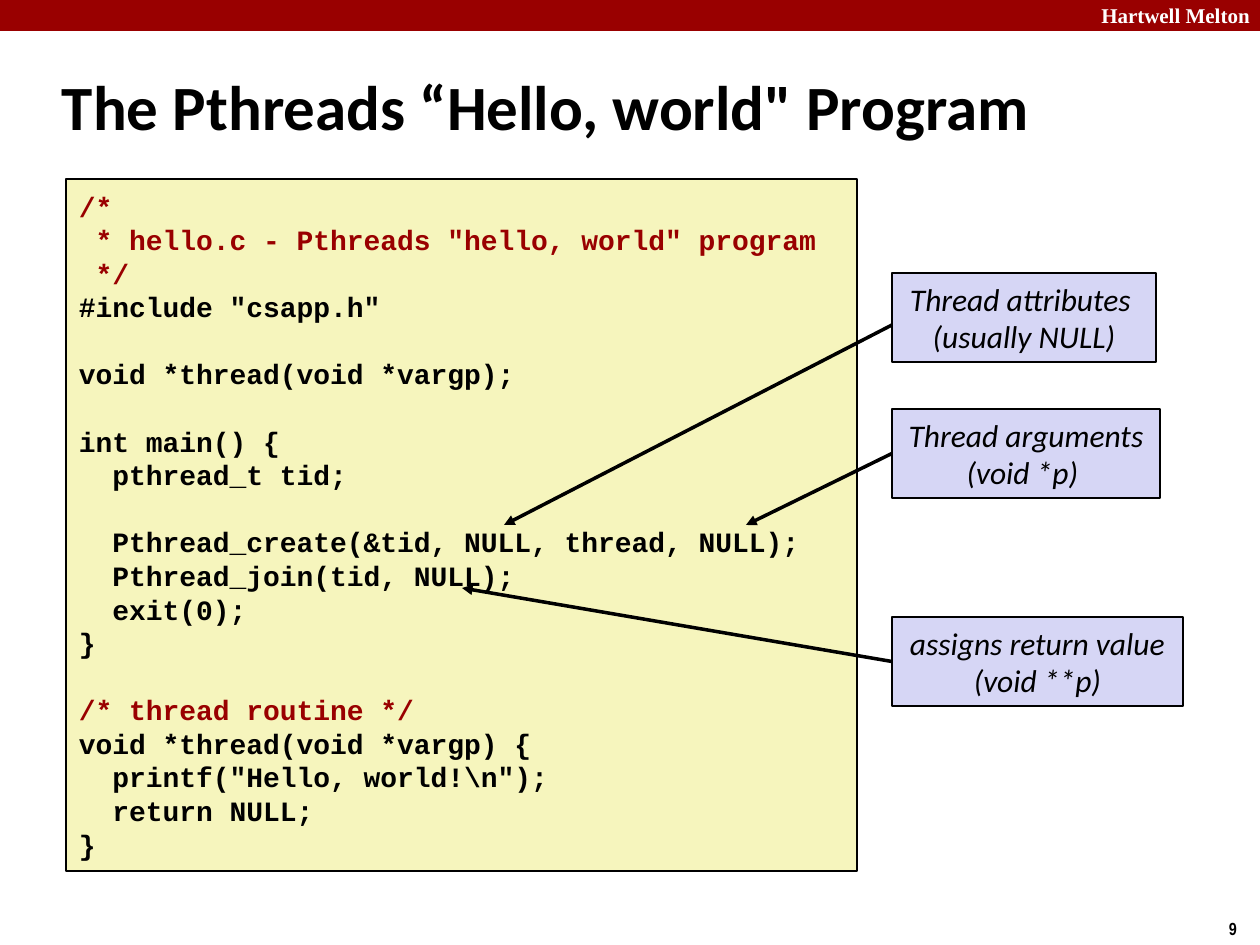
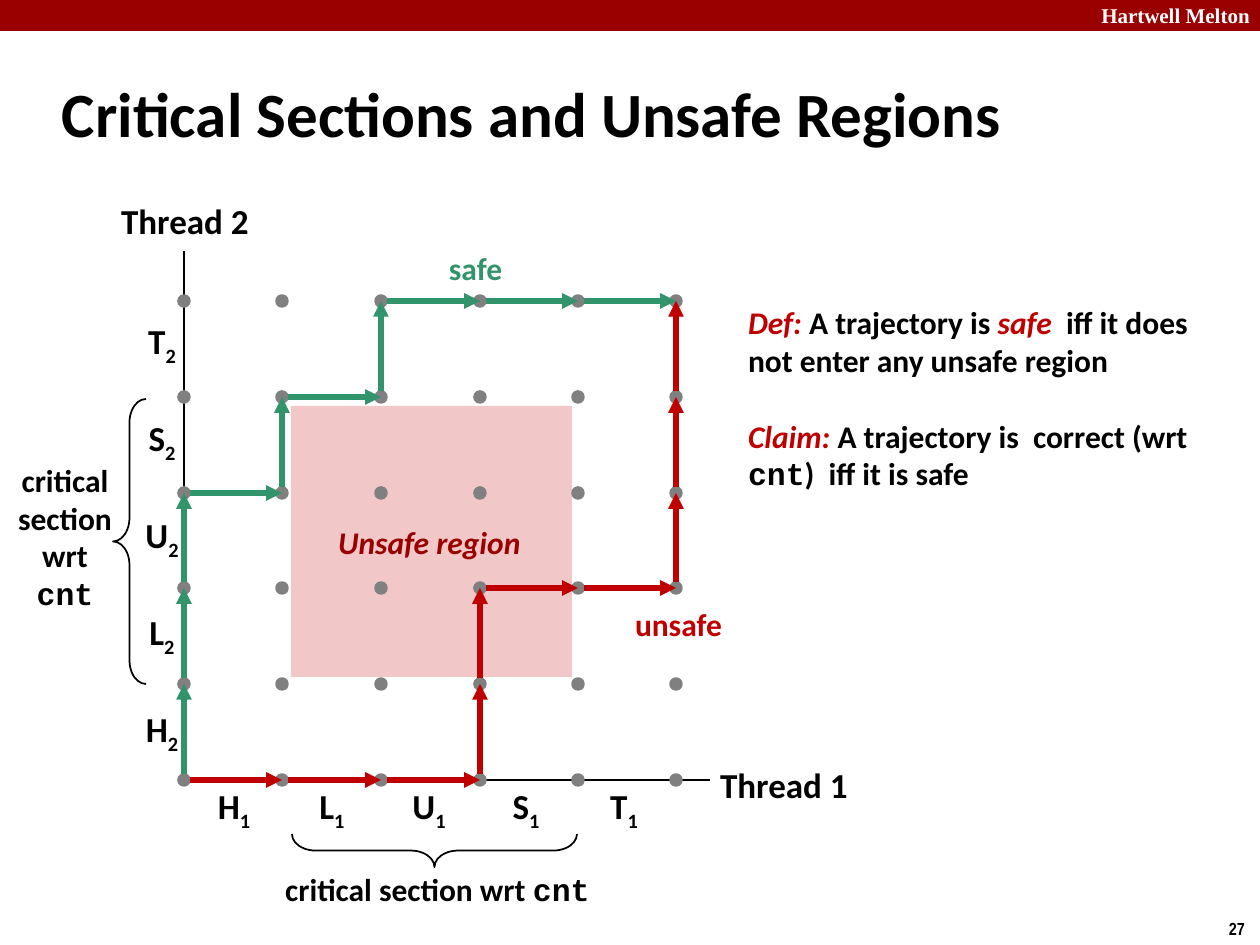
"""Build two lecture slides on threads: a Pthreads program and a progress graph."""
from dataclasses import dataclass
from itertools import pairwise, product

from lxml.etree import SubElement
from pptx import Presentation
from pptx.dml.color import RGBColor
from pptx.enum.shapes import MSO_CONNECTOR, MSO_SHAPE
from pptx.enum.text import MSO_ANCHOR, PP_ALIGN
from pptx.oxml.ns import qn
from pptx.util import Pt

EMU_PER_PX = 914400 / 126


@dataclass(frozen=True)
class Theme:
    """Colours, fonts and type sizes of the deck."""
    black: str = "000000"
    white: str = "FFFFFF"
    band: str = "990000"
    code_fill: str = "F6F5BD"
    callout_fill: str = "D6D6F5"
    region_fill: str = "F1C7C7"
    dot: str = "808080"
    safe: str = "32946A"
    unsafe: str = "C00000"
    body_font: str = "Calibri"
    code_font: str = "Courier New"
    brand_font: str = "Times New Roman"
    number_font: str = "Arial Narrow"
    title_size: int = 36
    label_size: int = 20
    body_size: int = 18
    code_size: int = 16
    brand_size: int = 12
    number_size: int = 10
    code_pitch: float = 19.2
    body_pitch: float = 21.8


THEME = Theme()

CODE = r'''/*
 * hello.c - Pthreads "hello, world" program
 */
#include "csapp.h"

void *thread(void *vargp);

int main() {
  pthread_t tid;

  Pthread_create(&tid, NULL, thread, NULL);
  Pthread_join(tid, NULL);
  exit(0);
}

/* thread routine */
void *thread(void *vargp) {
  printf("Hello, world!\n");
  return NULL;
}'''

CALLOUTS = [
    (["Thread attributes ", "(usually NULL)"], (892, 273, 264, 89), 325, (504, 525)),
    (["Thread arguments", "(void *p) "], (892, 409, 268, 89), None, (746, 525)),
    (["assigns return value", "(void **p)"], (892, 617, 291, 89), None, (462, 588)),
]

STEPS = "HLUST"
SAFE_PATH = [(0, 0), (0, 1), (0, 2), (0, 3), (1, 3), (1, 4), (2, 4), (2, 5), (3, 5), (4, 5), (5, 5)]
UNSAFE_PATH = [(0, 0), (1, 0), (2, 0), (3, 0), (3, 1), (3, 2), (4, 2), (5, 2), (5, 3), (5, 4), (5, 5)]


def px(*lengths):
    """Turn lengths in px into EMU."""
    return [round(length * EMU_PER_PX) for length in lengths]


def style_span(span, size, font, color, bold, italic, baseline=None):
    """Set the character format of a run."""
    span.font.size = Pt(size)
    span.font.name = font
    span.font.color.rgb = RGBColor.from_string(color)
    span.font.bold = bold
    span.font.italic = italic
    if baseline:
        span.font._element.set("baseline", str(baseline))


def write_text(box, paragraphs, align=PP_ALIGN.LEFT, anchor=MSO_ANCHOR.MIDDLE,
               insets=(13, 6, 13, 6), pitch=None, gap=0, **text_format):
    """Fill a box with paragraphs of spans; an empty paragraph becomes space before the next."""
    base = dict(size=THEME.body_size, font=THEME.body_font, color=THEME.black,
                bold=True, italic=False) | text_format
    frame = box.text_frame
    frame.word_wrap = True
    frame.vertical_anchor = anchor
    (frame.margin_left, frame.margin_top,
     frame.margin_right, frame.margin_bottom) = px(*insets)
    para, space = None, 0
    for spans in paragraphs:
        if not spans:
            space = gap
            continue
        para = frame.add_paragraph() if para else frame.paragraphs[0]
        para.alignment = align
        para.space_before = Pt(space)
        space = 0
        if pitch:
            para.line_spacing = Pt(pitch)
        for text, changes in [(spans, {})] if isinstance(spans, str) else spans:
            span = para.add_run()
            span.text = text
            style_span(span, **base | changes)


def add_label(page, at, *paragraphs, **text_format):
    """Add a text box."""
    box = page.shapes.add_textbox(*px(*at))
    write_text(box, paragraphs, **text_format)


def add_box(page, at, fill=None, line=None, kind=MSO_SHAPE.RECTANGLE, line_width=1):
    """Add a preset shape with an optional fill and line."""
    box = page.shapes.add_shape(kind, *px(*at))
    box.shadow.inherit = False
    if fill:
        box.fill.solid()
        box.fill.fore_color.rgb = RGBColor.from_string(fill)
    else:
        box.fill.background()
    if line:
        box.line.color.rgb = RGBColor.from_string(line)
        box.line.width = Pt(line_width)
    else:
        box.line.fill.background()
    return box


def add_line(page, start, end, color=THEME.black, width=1, arrow=False):
    """Add a straight line, with an arrowhead at its end if asked."""
    line = page.shapes.add_connector(MSO_CONNECTOR.STRAIGHT, *px(*start, *end))
    line.line.color.rgb = RGBColor.from_string(color)
    line.line.width = Pt(width)
    if arrow:
        SubElement(line.line._get_or_add_ln(), qn("a:tailEnd"), type="triangle")
    SubElement(line._element.spPr, qn("a:effectLst"))
    return line


def add_brace(page, at, rotation=0):
    """Add a left brace around a critical section."""
    brace = add_box(page, at, line=THEME.black, kind=MSO_SHAPE.LEFT_BRACE)
    brace.adjustments[0] = 0.715
    brace.rotation = rotation


def add_page(deck, title, number, title_top):
    """Add a blank page with band, title and page number."""
    page = deck.slides.add_slide(deck.slide_layouts[6])
    add_box(page, (0, 0, 1260, 31), THEME.band)
    add_label(page, (1060, 0, 200, 31), "Hartwell Melton", align=PP_ALIGN.RIGHT, insets=(0, 0, 10, 0),
              font=THEME.brand_font, size=THEME.brand_size, color=THEME.white)
    add_label(page, (1217, 911, 43, 34), str(number), insets=(12, 6, 0, 6),
              font=THEME.number_font, size=THEME.number_size)
    add_label(page, (49, title_top, 1046, 105), title, size=THEME.title_size)
    return page


def add_callout(page, lines, at, start_y, target):
    """Add a callout box and an arrow from its left side to the code."""
    box = add_box(page, at, THEME.callout_fill, THEME.black)
    write_text(box, lines, align=PP_ALIGN.CENTER, bold=False, italic=True)
    left, top, _, height = at
    arrow = add_line(page, (left, start_y or top + height // 2), target, width=2, arrow=True)
    if start_y is None:
        arrow.begin_connect(box, 1)


def grid_point(column, row):
    """Give the px position of a state in the progress graph."""
    return 184 + round(98.5 * column), 780 - round(95.8 * row)


def add_dot(page, column, row):
    """Mark a state in the progress graph."""
    x, y = grid_point(column, row)
    add_box(page, (x - 5, y - 5, 10, 10), THEME.dot, THEME.dot, MSO_SHAPE.OVAL, 2)


def add_trajectory(page, states, color):
    """Draw one arrow for each step between states, starting just past the dot."""
    for (column, row), (next_column, next_row) in pairwise(states):
        x, y = grid_point(column, row)
        start = x + 6 * (next_column - column), y - 6 * (next_row - row)
        add_line(page, start, grid_point(next_column, next_row), color, 3, arrow=True)


def add_step_label(page, center, step, thread):
    """Add an instruction name with its thread as subscript."""
    x, y = center
    add_label(page, (x - 35, y - 28, 70, 55), [(step, {}), (thread, {"baseline": -25000})],
              align=PP_ALIGN.CENTER, size=THEME.label_size)


def build_program_page(deck):
    """Show the program and its callouts."""
    page = add_page(deck, "The Pthreads “Hello, world\" Program", 9, 53)
    lines = [line and [(line, {"color": THEME.band if line.lstrip().startswith(("/*", "*")) else THEME.black})]
             for line in CODE.split("\n")]
    code_box = add_box(page, (66, 179, 791, 692), THEME.code_fill, THEME.black)
    write_text(code_box, lines, font=THEME.code_font, size=THEME.code_size,
               pitch=THEME.code_pitch, gap=THEME.code_pitch)
    for callout in CALLOUTS:
        add_callout(page, *callout)


def build_graph_page(deck):
    """Show the progress graph with a safe and an unsafe trajectory."""
    page = add_page(deck, "Critical Sections and Unsafe Regions", 27, 60)
    add_box(page, (291, 406, 281, 271), THEME.region_fill)
    origin = grid_point(0, 0)
    add_line(page, origin, (710, 780))
    add_line(page, origin, (184, 251))
    for index, step in enumerate(STEPS):
        add_step_label(page, (234 + round(97.5 * index), 809), step, "1")
        add_step_label(page, (162, 732 - 97 * index), step, "2")
    for text, at in [("Thread 1", (697, 757, 174, 55)), ("Thread 2", (98, 193, 174, 55))]:
        add_label(page, at, text, align=PP_ALIGN.CENTER, size=THEME.label_size)
    for column, row in product(range(6), repeat=2):
        add_dot(page, column, row)

    add_brace(page, (113, 399, 33, 285))
    add_brace(page, (418, 708, 33, 285), 270)
    counter = ("cnt", {"font": THEME.code_font})
    for at in [(261, 864, 353, 50), (0, 454, 130, 165)]:
        add_label(page, at, [("critical section wrt ", {}), counter], align=PP_ALIGN.CENTER)
    add_label(page, (325, 517, 230, 50), "Unsafe region", color=THEME.band, italic=True)

    term = {"color": THEME.unsafe, "italic": True}
    add_label(page, (735, 303, 483, 229),
              [("Def: ", term), ("A trajectory is ", {}), ("safe  ", term),
               ("iff it does not enter any unsafe region", {})],
              "",
              [("Claim: ", term), ("A trajectory is  correct (wrt ", {}), counter, (")  iff it is safe", {})],
              anchor=MSO_ANCHOR.TOP, insets=(13, 0, 13, 0), gap=THEME.body_pitch)

    add_trajectory(page, UNSAFE_PATH, THEME.unsafe)
    add_label(page, (622, 599, 130, 50), "unsafe", color=THEME.unsafe)
    add_trajectory(page, SAFE_PATH, THEME.safe)
    add_label(page, (436, 243, 100, 50), "safe", color=THEME.safe)


def main():
    """Build and save the deck."""
    deck = Presentation()
    deck.slide_width, deck.slide_height = px(1260, 945)
    build_program_page(deck)
    build_graph_page(deck)
    deck.save("out.pptx")


if __name__ == "__main__":
    main()
